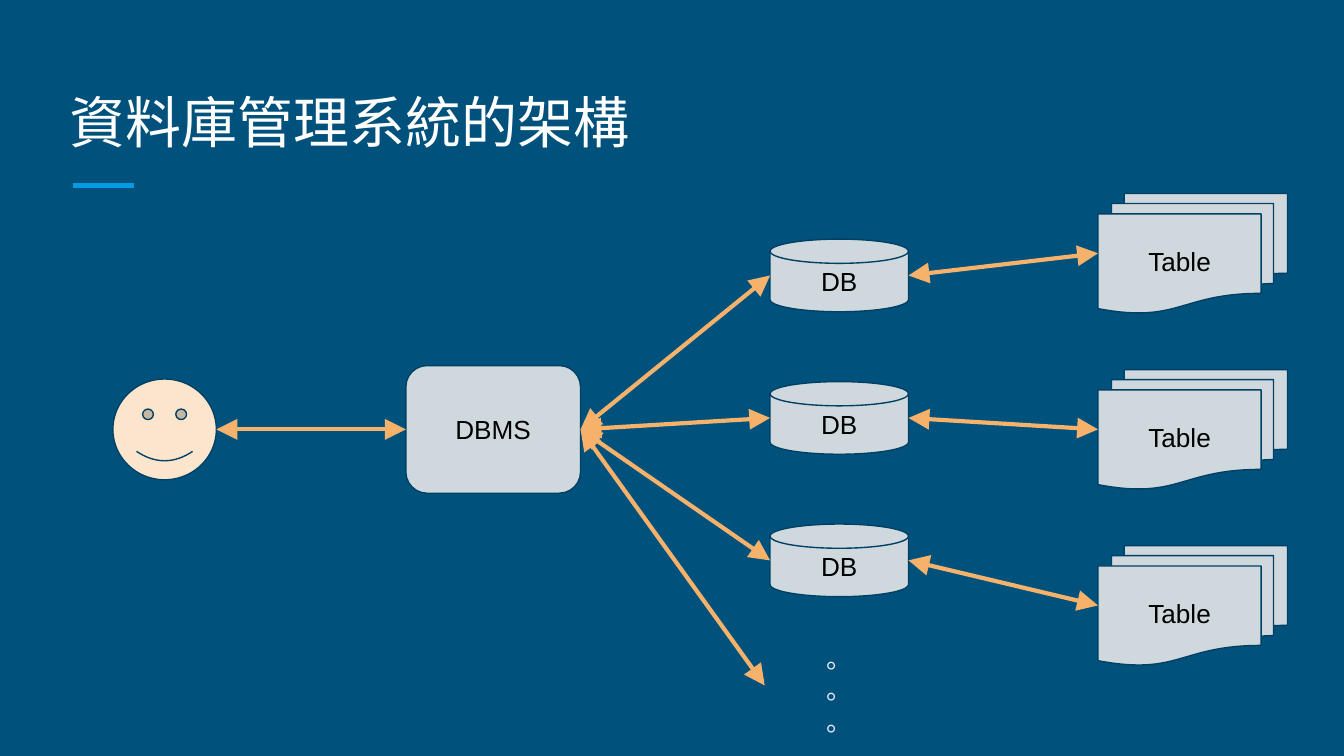
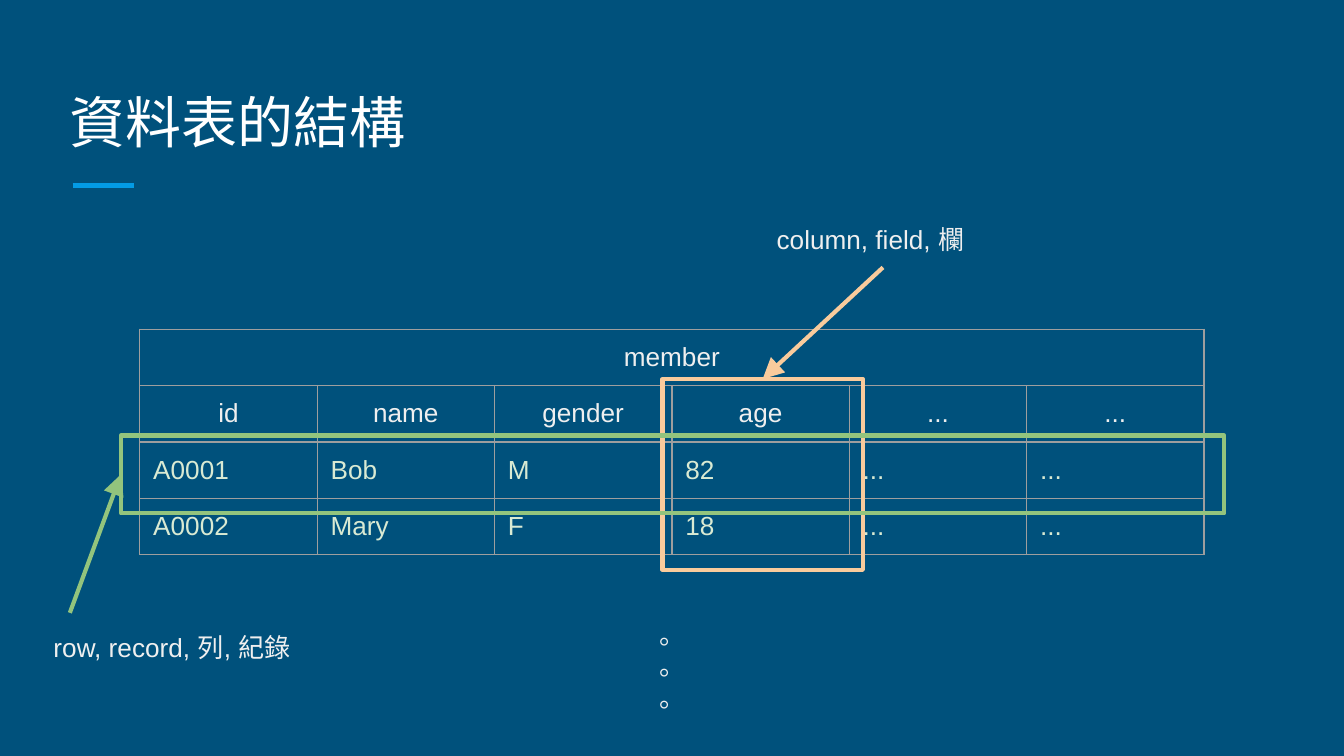
from dataclasses import dataclass

import lxml.etree
import pptx
import pptx.dml.color
import pptx.enum.shapes
import pptx.enum.text
import pptx.oxml
import pptx.oxml.ns
import pptx.util

Inches = pptx.util.Inches
Pt = pptx.util.Pt
qn = pptx.oxml.ns.qn
KIND = pptx.enum.shapes.MSO_SHAPE
ALIGN = pptx.enum.text.PP_ALIGN
ANCHOR = pptx.enum.text.MSO_ANCHOR

NAVY = "00517C"
EDGE = "004065"
BLUE = "039BE5"
WHITE = "FFFFFF"
BLACK = "000000"
PALE = "EFEFEF"
GREY = "CFD8DC"
RULE = "9E9E9E"
SKIN = "FCE5CD"
ORANGE = "F6B26B"
PEACH = "F9CB9C"
GREEN = "93C47D"
MINT = "D9EAD3"
DOTS = "。\n。\n。"


@dataclass(frozen=True)
class Box:
    left: float
    top: float
    width: float
    height: float

    @property
    def west(self) -> tuple[float, float]:
        return self.left, self.top + self.height / 2

    @property
    def east(self) -> tuple[float, float]:
        return self.left + self.width, self.top + self.height / 2

    @property
    def north(self) -> tuple[float, float]:
        return self.left + self.width / 2, self.top

    def place(self) -> list:
        return [Inches(n) for n in (self.left, self.top, self.width, self.height)]


@dataclass(frozen=True)
class Node:
    box: Box
    kind: int
    text: str = ""
    fill: str | None = GREY
    line: str = EDGE
    weight: float = 0.75


@dataclass(frozen=True)
class Arrow:
    start: tuple[float, float]
    end: tuple[float, float]
    color: str = ORANGE
    both: bool = True


def paint(code: str):
    return pptx.dml.color.RGBColor.from_string(code)


def pad(owner) -> None:
    for side in ("left", "right", "top", "bottom"):
        setattr(owner, f"margin_{side}", Inches(0.1))


def write(frame, text: str, *, size: float = 14, font: str = "Arial",
          color: str = PALE, align=ALIGN.LEFT) -> None:
    frame.text = text
    for para in frame.paragraphs:
        para.alignment = align
        for run in para.runs:
            run.font.size = Pt(size)
            run.font.name = font
            run.font.color.rgb = paint(color)
            for tag in ("a:ea", "a:cs"):
                face = lxml.etree.SubElement(run.font._element, qn(tag))
                face.set("typeface", font)


def add_label(slide, box: Box, text: str) -> None:
    frame = slide.shapes.add_textbox(*box.place()).text_frame
    frame.word_wrap = True
    pad(frame)
    write(frame, text)


def add_node(slide, node: Node):
    shape = slide.shapes.add_shape(node.kind, *node.box.place())
    shape.shadow.inherit = False
    if node.fill:
        shape.fill.solid()
        shape.fill.fore_color.rgb = paint(node.fill)
    else:
        shape.fill.background()
    shape.line.color.rgb = paint(node.line)
    shape.line.width = Pt(node.weight)
    if node.text:
        frame = shape.text_frame
        frame.vertical_anchor = ANCHOR.MIDDLE
        pad(frame)
        write(frame, node.text, color=BLACK, align=ALIGN.CENTER)
    return shape


def add_line(slide, start: tuple, end: tuple, color: str, weight: float):
    line = slide.shapes.add_connector(
        pptx.enum.shapes.MSO_CONNECTOR.STRAIGHT,
        *[Inches(n) for n in (*start, *end)])
    line.line.color.rgb = paint(color)
    line.line.width = Pt(weight)
    lxml.etree.SubElement(line._element.spPr, qn("a:effectLst"))
    return line


def add_arrow(slide, arrow: Arrow) -> None:
    line = add_line(slide, arrow.start, arrow.end, arrow.color, 2.25)
    stroke = line.line._get_or_add_ln()
    for tag in ("a:headEnd", "a:tailEnd") if arrow.both else ("a:tailEnd",):
        tip = lxml.etree.SubElement(stroke, qn(tag))
        for key, value in (("type", "triangle"), ("w", "lg"), ("len", "lg")):
            tip.set(key, value)


def add_slide(deck, title: str):
    slide = deck.slides.add_slide(deck.slide_layouts[5])
    head = slide.shapes.title
    head.left, head.top, head.width, head.height = Box(0.42, 0.5, 9.15, 0.75).place()
    frame = head.text_frame
    frame.word_wrap = True
    frame.auto_size = pptx.enum.text.MSO_AUTO_SIZE.NONE
    frame.vertical_anchor = ANCHOR.BOTTOM
    pad(frame)
    write(frame, title, size=30, font="Roboto Slab", color=WHITE)
    add_line(slide, (0.54, 1.38), (1, 1.38), BLUE, 3)
    return slide


def add_edges(cell) -> None:
    props = cell._tc.get_or_add_tcPr()
    for spot, side in enumerate("LRTB"):
        props.insert(spot, pptx.oxml.parse_xml(
            f'<a:ln{side} xmlns:a="http://schemas.openxmlformats.org/drawingml/2006/main" '
            f'w="{Pt(0.75)}"><a:solidFill><a:srgbClr val="{RULE}"/></a:solidFill></a:ln{side}>'))


def add_grid(slide, box: Box, rows: list) -> None:
    wide = len(rows[1])
    grid = slide.shapes.add_table(len(rows), wide, *box.place()).table
    grid.first_row = grid.horz_banding = False
    for col in grid.columns:
        col.width = Inches(box.width / wide)
    for row in grid.rows:
        row.height = Inches(box.height / len(rows))
    grid.cell(0, 0).merge(grid.cell(0, wide - 1))
    for y, row in enumerate(rows):
        for x in range(wide):
            cell = grid.cell(y, x)
            cell.fill.background()
            add_edges(cell)
            pad(cell)
            if x < len(row):
                head = y < 2
                write(cell.text_frame, row[x], color=PALE if head else MINT,
                      align=ALIGN.CENTER if head else ALIGN.LEFT)


def draw_system(deck) -> None:
    slide = add_slide(deck, "資料庫管理系統的架構")
    user = Box(0.84, 2.82, 0.77, 0.75)
    core = Box(3.02, 2.72, 1.3, 0.95)
    stores = [Box(5.73, 1.78 + 1.06 * i, 1.03, 0.54) for i in range(3)]
    sheets = [Box(8.17, 1.44 + 1.31 * i, 1.41, 0.89) for i in range(3)]
    nodes = [Node(core, KIND.FLOWCHART_ALTERNATE_PROCESS, "DBMS")]
    nodes += [Node(box, KIND.FLOWCHART_MAGNETIC_DISK, "DB") for box in stores]
    nodes += [Node(box, KIND.FLOWCHART_MULTIDOCUMENT, "Table") for box in sheets]
    for node in nodes:
        add_node(slide, node)
    add_label(slide, Box(6.05, 4.68, 0.39, 0.75), DOTS)
    face = add_node(slide, Node(user, KIND.SMILEY_FACE, fill=SKIN))
    face.adjustments[0] = 0.05
    arrows = [Arrow(core.east, box.west) for box in stores]
    arrows += [Arrow(core.east, (5.69, 5.1)), Arrow(user.east, core.west)]
    arrows += [Arrow(db.east, sheet.west) for db, sheet in zip(stores, sheets)]
    for arrow in arrows:
        add_arrow(slide, arrow)


def draw_table(deck) -> None:
    slide = add_slide(deck, "資料表的結構")
    more = ["...", "..."]
    add_grid(slide, Box(1.04, 2.45, 7.92, 1.68), [
        ["member"],
        ["id", "name", "gender", "age", *more],
        ["A0001", "Bob", "M", "82", *more],
        ["A0002", "Mary", "F", "18", *more],
    ])
    field = Box(4.93, 2.82, 1.49, 1.42)
    record = Box(0.9, 3.24, 8.21, 0.58)
    marks = [(field, PEACH, (6.57, 1.99), field.north),
             (record, GREEN, (0.52, 4.56), record.west)]
    for box, color, start, end in marks:
        add_arrow(slide, Arrow(start, end, color, both=False))
        add_node(slide, Node(box, KIND.RECTANGLE, fill=None, line=color, weight=2.25))
    add_label(slide, Box(4.81, 4.5, 0.39, 0.75), DOTS)
    add_label(slide, Box(5.68, 1.56, 1.79, 0.42), "column, field, 欄")
    add_label(slide, Box(0.3, 4.6, 2, 0.42), "row, record, 列, 紀錄")


def main() -> None:
    deck = pptx.Presentation()
    deck.slide_width = Inches(10)
    deck.slide_height = Inches(10 * 9 / 16)
    back = deck.slide_master.background.fill
    back.solid()
    back.fore_color.rgb = paint(NAVY)
    draw_system(deck)
    draw_table(deck)
    deck.save("out.pptx")


if __name__ == "__main__":
    main()
